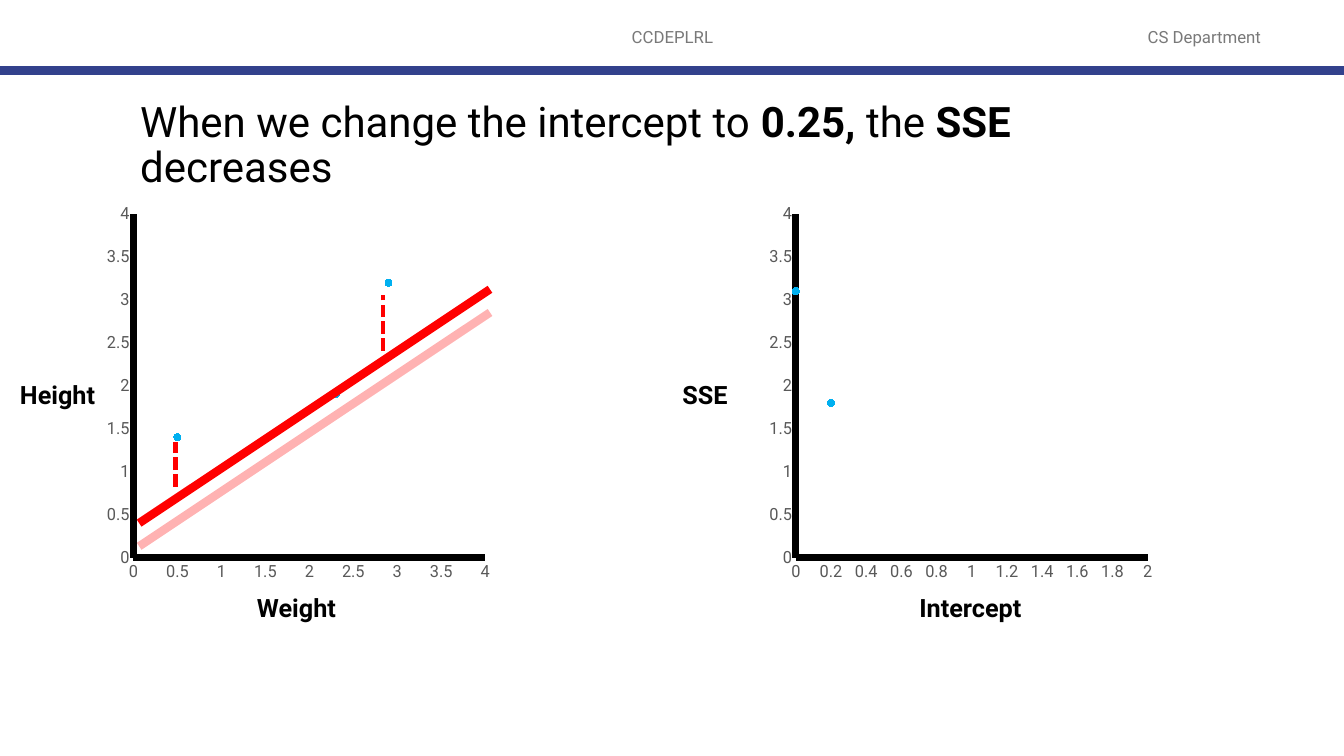
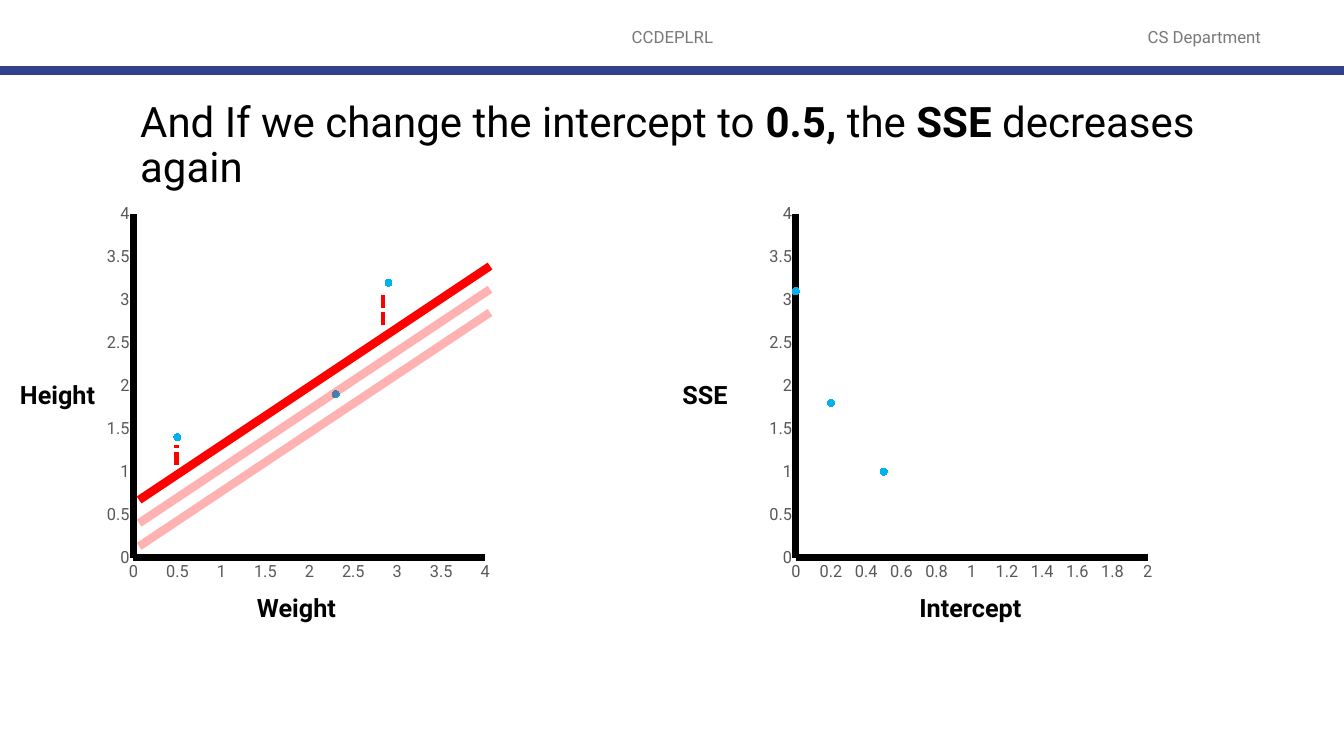
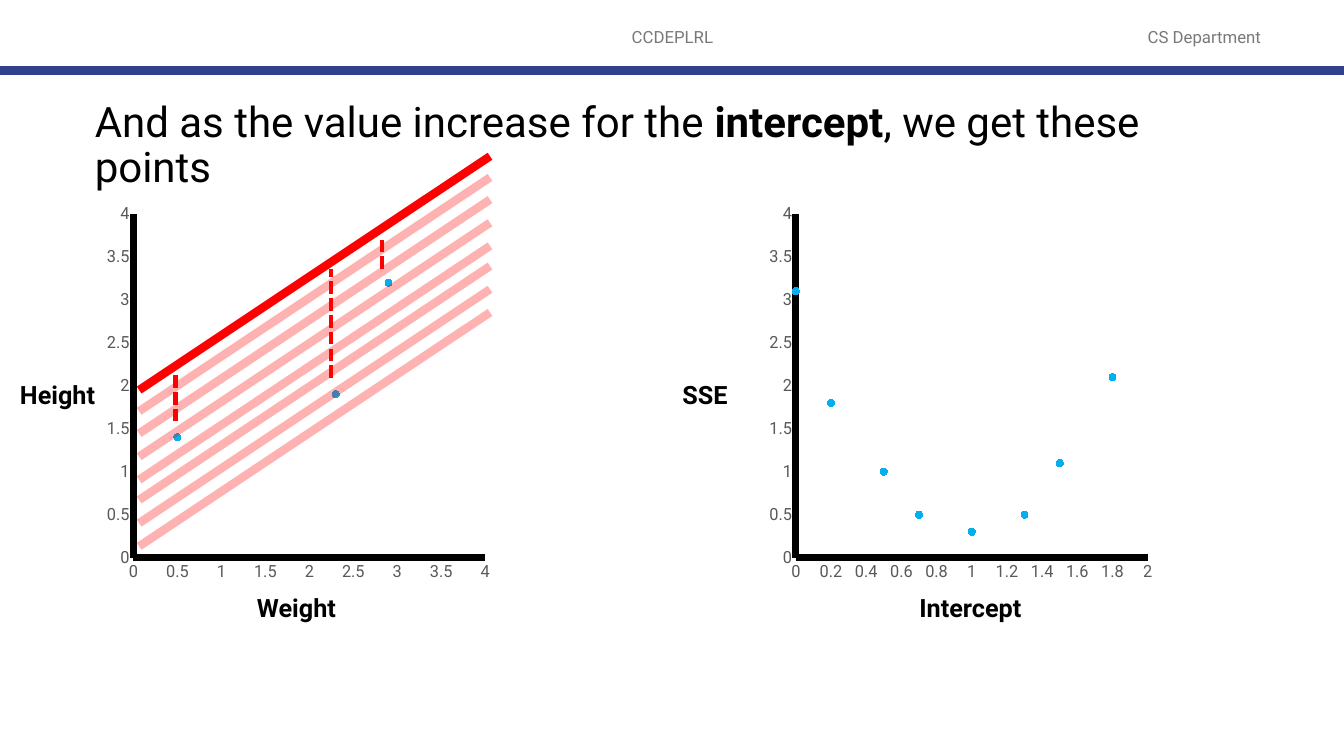
from lxml import etree
from pptx import Presentation
from pptx.chart.data import XyChartData
from pptx.dml.color import RGBColor
from pptx.enum import chart as charts, dml, shapes, text
from pptx.oxml import parse_xml
from pptx.oxml.ns import nsdecls, qn
from pptx.util import Inches, Pt

# Shared style
FONT = "Roboto"
COLORS = {"text": "000000", "header": "797979", "band": "32418C",
          "tick": "595959", "point": "00B0F0", "fit": "FF0000"}
SLIDE_SIZE = (13.33, 7.5)
BAND_Y = 0.7
HEADERS = [("CCDEPLRL", 4.42, 4.5), ("CS Department", 10.92, 2.05)]
TITLE_TOP, TITLE_HEIGHT = 0.95, 0.59

# Charts: each panel has a chart and two axis names
CHART_TOP, CHART_WIDTH, CHART_HEIGHT = 2.02, 3.8, 3.79
PLOT_LAYOUT = {"x": 0.069, "y": 0.027, "w": 0.945, "h": 0.9}
LABEL_HEIGHT, X_LABEL_TOP, Y_LABEL_TOP = 0.4, 5.83, 3.71
Y_LABEL_WIDTH = 0.96
DATA_PANEL = {"left": 1.06, "x_max": 4, "x_step": 0.5, "y_name": "Height",
              "x_name": "Weight", "x_name_at": (2.45, 1.02)}
SSE_PANEL = {"left": 7.63, "x_max": 2, "x_step": 0.2, "y_name": "SSE",
             "x_name": "Intercept", "x_name_at": (9.02, 1.35)}
DATA_POINTS = [(0.5, 1.4), (2.3, 1.9), (2.9, 3.2)]
SSE_POINTS = [(0, 3.1), (0.2, 1.8), (0.5, 1), (0.7, 0.5),
              (1, 0.3), (1.3, 0.5), (1.5, 1.1), (1.8, 2.1)]

# Fitted lines: one for each tried intercept, all with the same slope
FIT_LEFT, FIT_RIGHT, FIT_DROP = 1.38, 4.86, 2.32
FIT_TOPS = [3.1, 2.87, 2.64, 2.44, 2.21, 1.98, 1.76, 1.55]

# Title runs are (text, bold); residuals are (x, bottom, top)
SLIDES = [
    {"title": [("When we change the intercept to ", False), ("0.25, ", True),
               ("the ", False), ("SSE", True), (" decreases", False)],
     "title_at": (1.29, 10.44), "tried": 2,
     "residuals": [(1.74, 4.83, 4.39), (3.8, 3.48, 2.93)]},
    {"title": [("And If we change the intercept to ", False), ("0.5, ", True),
               ("the ", False), ("SSE", True), (" decreases again", False)],
     "title_at": (1.29, 11.34), "tried": 3,
     "residuals": [(1.75, 4.61, 4.41), (3.8, 3.22, 2.9)]},
    {"title": [("And as the value increase for the ", False),
               ("intercept", True), (", we get these points", False)],
     "title_at": (0.84, 11.53), "tried": 8,
     "residuals": [(3.28, 3.75, 2.67), (3.79, 2.67, 2.36), (1.74, 4.18, 3.69)]},
]


def color(name):
    return RGBColor.from_string(COLORS[name])


def style_font(font, size, name="text", bold=False):
    font.name, font.size, font.bold = FONT, Pt(size), bold
    font.color.rgb = color(name)


def add_text(slide, content, box, size, name="text", bold=False):
    shape = slide.shapes.add_textbox(*map(Inches, box))
    frame = shape.text_frame
    frame.word_wrap = True
    frame.text = content
    style_font(frame.paragraphs[0].runs[0].font, size, name, bold)
    return shape


def add_line(slide, start, end, name, width, alpha=None, dash=None):
    line = slide.shapes.add_connector(
        shapes.MSO_CONNECTOR.STRAIGHT, *map(Inches, start + end))
    line.line.color.rgb = color(name)
    line.line.width = Pt(width)
    if dash:
        line.line.dash_style = dash
    properties = line._element.spPr
    if alpha:
        fill = properties.find(".//" + qn("a:srgbClr"))
        etree.SubElement(fill, qn("a:alpha")).set("val", str(alpha * 1000))
    etree.SubElement(properties, qn("a:effectLst"))
    return line


def add_header(slide):
    """Move the header texts and the band to the layout, shown on every slide."""
    layout = slide.slide_layout
    for placeholder in list(layout.placeholders):
        if placeholder.placeholder_format.type != shapes.PP_PLACEHOLDER.TITLE:
            placeholder._element.getparent().remove(placeholder._element)
    parts = [add_line(slide, (0, BAND_Y), (SLIDE_SIZE[0], BAND_Y), "band", 6)]
    for content, left, width in HEADERS:
        shape = add_text(slide, content, (left, 0.17, width, 0.4), 12, "header")
        shape.text_frame.vertical_anchor = text.MSO_ANCHOR.MIDDLE
        shape.text_frame.paragraphs[0].alignment = text.PP_ALIGN.CENTER
        parts.append(shape)
    for part in parts:
        layout.shapes._spTree.append(part._element)


def set_title(slide, runs, left, width):
    title = slide.shapes.title
    title.left, title.top = Inches(left), Inches(TITLE_TOP)
    title.width, title.height = Inches(width), Inches(TITLE_HEIGHT)
    frame = title.text_frame
    frame.word_wrap = True
    frame.auto_size = text.MSO_AUTO_SIZE.NONE
    frame.vertical_anchor = text.MSO_ANCHOR.TOP
    paragraph = frame.paragraphs[0]
    paragraph.alignment = text.PP_ALIGN.LEFT
    paragraph.line_spacing = 0.9
    for content, bold in runs:
        run = paragraph.add_run()
        run.text = content
        style_font(run.font, 30, bold=bold)


def style_axis(axis, maximum, step):
    axis.minimum_scale, axis.maximum_scale, axis.major_unit = 0, maximum, step
    axis.has_major_gridlines = axis.has_minor_gridlines = False
    axis.major_tick_mark = axis.minor_tick_mark = charts.XL_TICK_MARK.NONE
    axis.format.line.color.rgb = color("text")
    axis.format.line.width = Pt(5)
    style_font(axis.tick_labels.font, 12, "tick")


def set_plot_layout(chart):
    area = chart._chartSpace.chart.plotArea
    for old in area.findall(qn("c:layout")):
        area.remove(old)
    sizes = "".join(f'<c:{key} val="{value}"/>' for key, value in PLOT_LAYOUT.items())
    area.insert(0, parse_xml(
        f'<c:layout {nsdecls("c")}><c:manualLayout><c:layoutTarget val="inner"/>'
        f'<c:xMode val="edge"/><c:yMode val="edge"/>{sizes}'
        f'</c:manualLayout></c:layout>'))


def add_panel(slide, panel, points):
    data = XyChartData()
    data_series = data.add_series("Series 1")
    for x, y in points:
        data_series.add_data_point(x, y)
    box = (panel["left"], CHART_TOP, CHART_WIDTH, CHART_HEIGHT)
    chart = slide.shapes.add_chart(
        charts.XL_CHART_TYPE.XY_SCATTER, *map(Inches, box), data).chart
    chart.has_legend = chart.has_title = False
    style_font(chart.font, 10)
    set_plot_layout(chart)
    style_axis(chart.category_axis, panel["x_max"], panel["x_step"])
    style_axis(chart.value_axis, 4, 0.5)
    chart.plots[0].vary_by_categories = False
    series = chart.plots[0].series[0]
    series.smooth = False
    series.format.line.fill.background()
    marker = series.marker
    marker.style, marker.size = charts.XL_MARKER_STYLE.CIRCLE, 5
    marker.format.fill.solid()
    marker.format.fill.fore_color.rgb = color("point")
    marker.format.line.color.rgb = color("point")

    x_left, x_width = panel["x_name_at"]
    y_left = panel["left"] - Y_LABEL_WIDTH
    for name, left, top, width in [
            (panel["x_name"], x_left, X_LABEL_TOP, x_width),
            (panel["y_name"], y_left, Y_LABEL_TOP, Y_LABEL_WIDTH)]:
        label = add_text(slide, name, (left, top, width, LABEL_HEIGHT), 18, bold=True)
        label.text_frame.auto_size = text.MSO_AUTO_SIZE.SHAPE_TO_FIT_TEXT


def add_fits(slide, tried, residuals):
    """Draw earlier fits faded, the newest one solid, then its residuals."""
    for number, top in enumerate(FIT_TOPS[:tried], 1):
        add_line(slide, (FIT_RIGHT, top), (FIT_LEFT, top + FIT_DROP), "fit", 6,
                 alpha=30 if number < tried else None)
    for x, bottom, top in residuals:
        add_line(slide, (x, bottom), (x, top), "fit", 3,
                 dash=dml.MSO_LINE.SQUARE_DOT)


def main():
    presentation = Presentation()
    presentation.slide_width, presentation.slide_height = map(Inches, SLIDE_SIZE)
    layout = presentation.slide_layouts[5]
    for number, content in enumerate(SLIDES):
        slide = presentation.slides.add_slide(layout)
        if number == 0:
            add_header(slide)
        set_title(slide, content["title"], *content["title_at"])
        add_panel(slide, DATA_PANEL, DATA_POINTS)
        add_panel(slide, SSE_PANEL, SSE_POINTS[:content["tried"]])
        add_fits(slide, content["tried"], content["residuals"])
    presentation.save("out.pptx")


if __name__ == "__main__":
    main()
